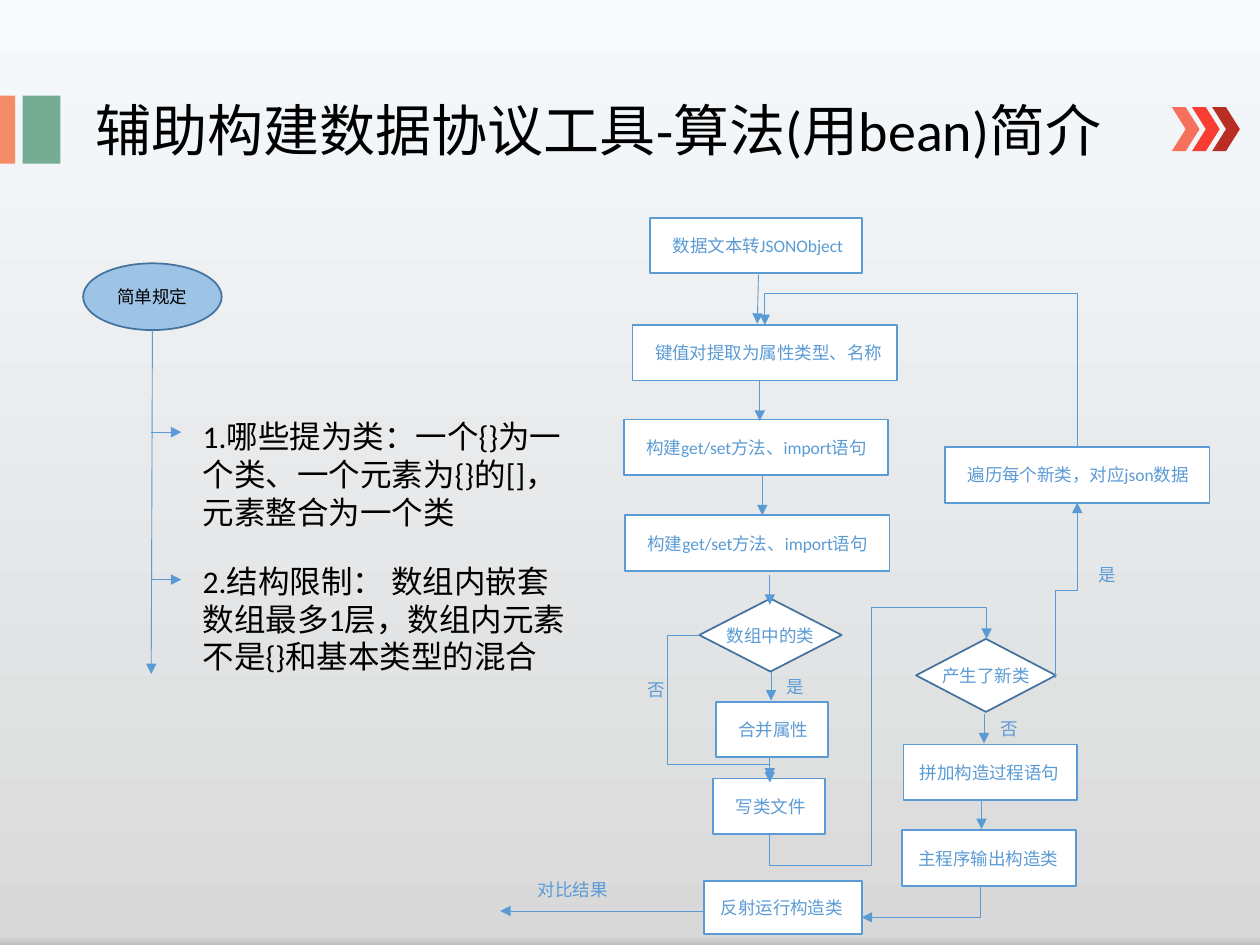
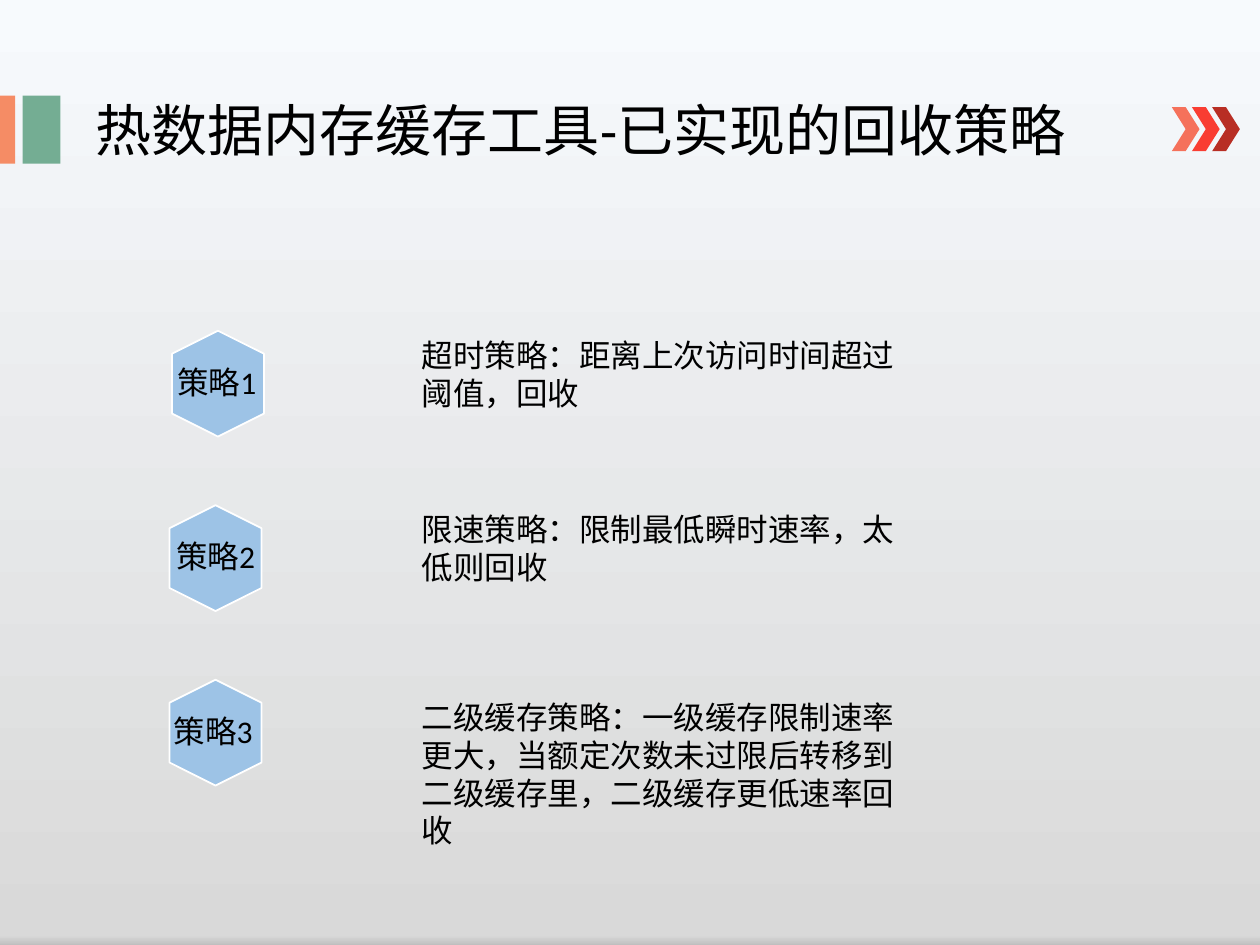
import math
from copy import deepcopy

from lxml import etree
from pptx import Presentation
from pptx.dml.color import RGBColor
from pptx.enum import shapes as kinds, text as texts
from pptx.oxml.ns import qn
from pptx.util import Inches, Pt

FONT = "Calibri"
BLACK = RGBColor(0x00, 0x00, 0x00)
WHITE = RGBColor(0xFF, 0xFF, 0xFF)
BLUE = RGBColor(0x5B, 0x9B, 0xD5)
DARK_BLUE = RGBColor(0x43, 0x73, 0x9E)
LIGHT_BLUE = RGBColor(0x9D, 0xC3, 0xE6)
ORANGE = RGBColor(0xF5, 0x8C, 0x65)
GREEN = RGBColor(0x74, 0xAD, 0x93)
CHEVRON_REDS = [RGBColor(0xF5, 0x71, 0x5B), RGBColor(0xF9, 0x3D, 0x32),
                RGBColor(0xB8, 0x2E, 0x24)]
BACKGROUND_STOPS = [(0, RGBColor(0xF7, 0xFA, 0xFD)), (0.99, RGBColor(0xD9, 0xD9, 0xD9)),
                    (1, RGBColor(0xBF, 0xBF, 0xBF))]
SHAPE = kinds.MSO_SHAPE
STEP_HEIGHT = 0.44


def set_background(master):
    fill = master.background.fill
    fill.gradient()
    fill.gradient_angle = 270
    stop_list = master.element.find(".//" + qn("a:gsLst"))
    stop_list.append(deepcopy(stop_list[-1]))
    for stop, (position, color) in zip(fill.gradient_stops, BACKGROUND_STOPS):
        stop.position = position
        stop.color.rgb = color


def write(frame, text, size, color):
    run = frame.paragraphs[0].add_run()
    run.text = text
    run.font.name = FONT
    run.font.size = Pt(size)
    run.font.color.rgb = color


def add_text(slide, text, left, top, width, height, size=10, color=BLUE):
    box = slide.shapes.add_textbox(Inches(left), Inches(top), Inches(width), Inches(height))
    box.text_frame.word_wrap = True
    write(box.text_frame, text, size, color)


def add_block(slide, kind, left, top, width, height, fill, line=None):
    shape = slide.shapes.add_shape(kind, Inches(left), Inches(top), Inches(width), Inches(height))
    shape.shadow.inherit = False
    shape.fill.solid()
    shape.fill.fore_color.rgb = fill
    if line is None:
        shape.line.fill.background()
    else:
        shape.line.color.rgb = line
        shape.line.width = Pt(1)
    return shape


def add_step(slide, text, left, top, width, height=STEP_HEIGHT, indent=0.18):
    """Flow step with its text starting at a fixed indent."""
    frame = add_block(slide, SHAPE.RECTANGLE, left, top, width, height, WHITE, BLUE).text_frame
    frame.word_wrap = True
    frame.margin_left, frame.margin_right = Inches(indent), 0
    frame.vertical_anchor = texts.MSO_ANCHOR.MIDDLE
    frame.paragraphs[0].alignment = texts.PP_ALIGN.LEFT
    write(frame, text, 10, BLUE)


def add_node(slide, kind, text, left, top, width, height, fill=WHITE, color=BLUE):
    """Diamond or ellipse with centred text on one line."""
    frame = add_block(slide, kind, left, top, width, height, fill, DARK_BLUE).text_frame
    frame.word_wrap = False
    frame.vertical_anchor = texts.MSO_ANCHOR.MIDDLE
    frame.paragraphs[0].alignment = texts.PP_ALIGN.CENTER
    write(frame, text, 10, color)


def add_arrow(slide, start, end, kind=kinds.MSO_CONNECTOR.STRAIGHT, turn=0):
    """Arrow from start to end; turn is the clockwise rotation of its frame."""
    angle = math.radians(turn)
    dx, dy = end[0] - start[0], end[1] - start[1]
    half_x = (dx * math.cos(angle) + dy * math.sin(angle)) / 2
    half_y = (dy * math.cos(angle) - dx * math.sin(angle)) / 2
    middle_x, middle_y = (start[0] + end[0]) / 2, (start[1] + end[1]) / 2
    connector = slide.shapes.add_connector(
        kind, Inches(middle_x - half_x), Inches(middle_y - half_y),
        Inches(middle_x + half_x), Inches(middle_y + half_y))
    connector.line.color.rgb = BLUE
    connector.line.width = Pt(0.5)
    properties = connector.element.spPr
    etree.SubElement(properties.find(qn("a:ln")), qn("a:tailEnd"), type="triangle")
    etree.SubElement(properties, qn("a:effectLst"))
    if turn:
        properties.find(qn("a:xfrm")).set("rot", str(turn * 60000))
    return connector


def add_elbow(slide, start, end, turn, *bends):
    """Elbow arrow whose bends are fractions of its frame."""
    connector = add_arrow(slide, start, end, kinds.MSO_CONNECTOR.ELBOW, turn)
    geometry = connector.element.spPr.find(qn("a:prstGeom"))
    geometry.set("prst", f"bentConnector{len(bends) + 2}")
    guides = geometry.find(qn("a:avLst"))
    for number, bend in enumerate(bends, 1):
        etree.SubElement(guides, qn("a:gd"), name=f"adj{number}",
                         fmla=f"val {round(bend * 100000)}")


def add_titled_slide(presentation, text, title_width):
    slide = presentation.slides.add_slide(presentation.slide_layouts[5])
    # Bands at the left edge
    for left, width, color in [(0, 0.12, ORANGE), (0.18, 0.3, GREEN)]:
        add_block(slide, SHAPE.RECTANGLE, left, 0.76, width, 0.54, color)
    # Title
    title = slide.shapes.title
    title.left, title.top = Inches(0.66), Inches(0.71)
    title.width, title.height = Inches(title_width), Inches(0.64)
    frame = title.text_frame
    frame.word_wrap = True
    frame.auto_size = texts.MSO_AUTO_SIZE.NONE
    frame.vertical_anchor = texts.MSO_ANCHOR.TOP
    frame.paragraphs[0].alignment = texts.PP_ALIGN.LEFT
    write(frame, text, 32, BLACK)
    # Chevrons at the right edge
    for index, color in enumerate(CHEVRON_REDS):
        add_block(slide, SHAPE.CHEVRON, 9.3 + 0.16 * index, 0.85, 0.22, 0.35, color)
    return slide


def build_algorithm_slide(presentation):
    slide = add_titled_slide(presentation, "辅助构建数据协议工具-算法(用bean)简介", 8.54)

    # Rules on the left
    add_node(slide, SHAPE.OVAL, "简单规定", 0.66, 2.09, 1.1, 0.53, LIGHT_BLUE, BLACK)
    add_arrow(slide, (1.21, 2.62), (1.2, 5.35))
    rules = [
        (3.26, 3.43, "1.哪些提为类：一个{}为一个类、一个元素为{}的[]，元素整合为一个类"),
        (4.41, 4.6, "2.结构限制： 数组内嵌套数组最多1层，数组内元素不是{}和基本类型的混合"),
    ]
    for top, arrow_y, rule in rules:
        add_arrow(slide, (1.2, arrow_y), (1.44, arrow_y))
        add_text(slide, rule, 1.51, top, 3.14, 1.01, 18, BLACK)

    # Flow steps
    for text, left, top, width in [
        ("数据文本转JSONObject", 5.16, 1.73, 1.68),
        ("键值对提取为属性类型、名称", 5.02, 2.58, 2.1),
        ("构建get/set方法、import语句", 4.95, 3.33, 2.1),
        ("构建get/set方法、import语句", 4.96, 4.09, 2.1),
        ("合并属性", 5.68, 5.57, 0.89),
        ("写类文件", 5.66, 6.18, 0.89),
        ("遍历每个新类，对应json数据", 7.5, 3.55, 2.1),
    ]:
        add_step(slide, text, left, top, width)
    add_step(slide, "拼加构造过程语句", 7.17, 5.91, 1.38, indent=0.13)
    add_step(slide, "主程序输出构造类", 7.16, 6.59, 1.38, indent=0.13)
    add_step(slide, "反射运行构造类", 5.59, 6.99, 1.25, 0.42, 0.13)

    # Decisions
    add_node(slide, SHAPE.DIAMOND, "数组中的类", 5.55, 4.75, 1.13, 0.58)
    add_node(slide, SHAPE.DIAMOND, "产生了新类", 7.27, 5.07, 1.11, 0.58)

    # Straight arrows
    for start, end in [
        ((6.02, 2.18), (6.01, 2.57)),
        ((6.03, 3.02), (6.03, 3.34)),
        ((6.05, 3.78), (6.05, 4.09)),
        ((6.11, 4.56), (6.11, 4.8)),
        ((6.12, 5.33), (6.12, 5.56)),
        ((6.11, 6.01), (6.11, 6.21)),
        ((7.81, 5.67), (7.81, 5.9)),
        ((7.79, 6.35), (7.79, 6.58)),
        ((5.59, 7.23), (3.97, 7.23)),
    ]:
        add_arrow(slide, start, end)

    # Elbow arrows
    add_elbow(slide, (6.11, 6.62), (7.83, 5.07), 90, -0.16, 0.47, 1.16)
    add_elbow(slide, (8.38, 5.38), (8.55, 3.99), 90, 0.5)
    add_elbow(slide, (8.55, 3.55), (6.07, 2.58), 270, 1.26)
    add_elbow(slide, (7.81, 7.03), (6.84, 7.28), 180, 0.03)
    add_elbow(slide, (5.55, 5.04), (6.11, 6.18), 180, -0.45, 0.9)

    # Arrow labels
    for text, left, top in [("是", 6.14, 5.32), ("否", 5.04, 5.34),
                            ("否", 7.84, 5.65), ("是", 8.62, 4.43)]:
        add_text(slide, text, left, top, 0.39, 0.27)
    add_text(slide, "对比结果", 4.17, 6.93, 1.71, 0.27)


def build_strategy_slide(presentation):
    slide = add_titled_slide(presentation, "热数据内存缓存工具-已实现的回收策略", 8.05)
    strategies = [
        (1.31, 1.31, 2.62, 0.71, "超时策略：距离上次访问时间超过阈值，回收"),
        (1.29, 1.3, 4, 0.71, "限速策略：限制最低瞬时速率，太低则回收"),
        (1.29, 1.28, 5.49, 1.31, "二级缓存策略：一级缓存限制速率更大，当额定次数未过限后转移到"
                                 "二级缓存里，二级缓存更低速率回收"),
    ]
    for index, (left, name_left, text_top, text_height, text) in enumerate(strategies):
        top = 2.68 + 1.385 * index
        hexagon = add_block(slide, SHAPE.HEXAGON, left, top, 0.84, 0.73, LIGHT_BLUE, WHITE)
        hexagon.rotation = 90
        hexagon.adjustments[0] = 0.25
        add_text(slide, f"策略{index + 1}", name_left, top + 0.15, 1.39, 0.4, 18, BLACK)
        add_text(slide, text, 3.25, text_top, 4.16, text_height, 18, BLACK)


def main():
    presentation = Presentation()
    presentation.slide_width = Inches(10)
    presentation.slide_height = Inches(7.5)
    set_background(presentation.slide_master)
    build_algorithm_slide(presentation)
    build_strategy_slide(presentation)
    presentation.save("out.pptx")


if __name__ == "__main__":
    main()
